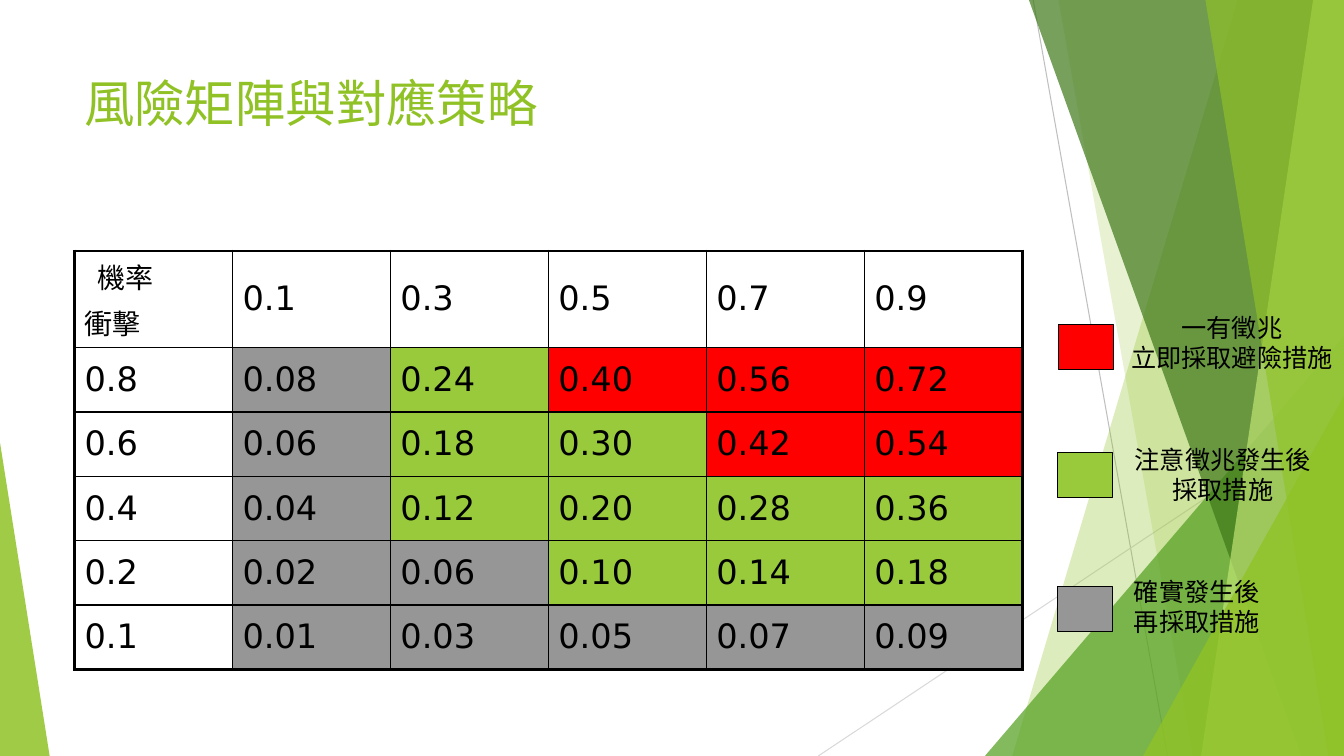
from lxml.etree import SubElement
from pptx import Presentation
from pptx.dml.color import RGBColor
from pptx.enum.shapes import MSO_CONNECTOR, MSO_SHAPE
from pptx.enum.text import MSO_ANCHOR, MSO_AUTO_SIZE, PP_ALIGN
from pptx.oxml.ns import qn
from pptx.util import Pt

COLORS = {
    "leaf": "90C226", "green": "54A021", "forest": "3F7819", "lime": "C0E474",
    "line": "BFBFBF", "pale_line": "D9D9D9", "black": "000000",
    "high": "FF0000", "medium": "99CA3C", "low": "969696",
}
WIDTH, HEIGHT = 960, 540
PROBABILITIES = [1, 3, 5, 7, 9]
IMPACTS = [8, 6, 4, 2, 1]
LEGEND = [
    ("high", 756, 232, 800, 219.5, 160, ["一有徵兆", "立即採取避險措施"]),
    ("medium", 755.5, 323.5, 802, 314, 143, ["注意徵兆發生後", "採取措施"]),
    ("low", 755.5, 419, 802, 408, 106, ["確實發生後", "再採取措施"]),
]


def color(name):
    """Return the named colour."""
    return RGBColor.from_string(COLORS[name])


def paint(shape, name, opacity=100):
    """Fill a shape without outline or shadow."""
    shape.shadow.inherit = False
    shape.line.fill.background()
    shape.fill.solid()
    shape.fill.fore_color.rgb = color(name)
    if opacity < 100:
        tint = shape.fill._xPr.find(qn("a:solidFill"))[0]
        SubElement(tint, qn("a:alpha"), val=str(opacity * 1000))


def add_line(page, start, end, name):
    """Draw a thin background line."""
    line = page.shapes.add_connector(
        MSO_CONNECTOR.STRAIGHT, *[Pt(value) for value in start + end])
    line.line.color.rgb = color(name)
    line.line.width = Pt(0.75)
    SubElement(line._element.spPr, qn("a:effectLst"))


def add_band(page, top_x, bottom_x, name, opacity):
    """Draw a slanted band that reaches the right edge of the page."""
    builder = page.shapes.build_freeform(Pt(top_x), 0)
    corners = [(WIDTH, 0), (WIDTH, HEIGHT), (bottom_x, HEIGHT)]
    builder.add_line_segments([(Pt(x), Pt(y)) for x, y in corners])
    paint(builder.convert_to_shape(), name, opacity)


def add_triangle(page, left, top, width, apex, name, opacity):
    """Draw a right triangle that stands on the bottom edge."""
    triangle = page.shapes.add_shape(
        MSO_SHAPE.ISOSCELES_TRIANGLE, Pt(left), Pt(top), Pt(width), Pt(HEIGHT - top))
    triangle.adjustments[0] = apex
    paint(triangle, name, opacity)


def add_decoration(page):
    """Draw the green facets behind the content."""
    add_line(page, (738, 0), (834, HEIGHT), "line")
    add_line(page, (WIDTH, 290), (584.5, HEIGHT), "pale_line")
    add_band(page, 884, 723, "leaf", 30)
    add_band(page, 756, 852, "leaf", 20)
    add_triangle(page, 703.5, 240, 256.5, 1, "green", 72)
    add_band(page, 735, 929.5, "forest", 70)
    add_band(page, 938, 858, "lime", 70)
    add_band(page, 861, 949, "leaf", 65)
    add_triangle(page, 816.5, 283, 143.5, 1, "leaf", 80)
    add_triangle(page, 0, 316, 35.5, 0, "leaf", 85)


def write(frame, lines, size, font, name, align=PP_ALIGN.LEFT):
    """Write one paragraph per line and return the paragraphs."""
    for index, line in enumerate(lines):
        para = frame.add_paragraph() if index else frame.paragraphs[0]
        para.alignment = align
        span = para.add_run()
        span.text = line
        span.font.size = Pt(size)
        span.font.name = font
        span.font.color.rgb = color(name)
    return frame.paragraphs


def add_title(page, text):
    """Add the slide heading."""
    box = page.shapes.add_textbox(Pt(53), Pt(48), Pt(677), Pt(104))
    box.text_frame.word_wrap = True
    write(box.text_frame, [text], 36, "Roboto", "leaf")


def set_borders(cell, widths):
    """Give a cell black borders of the given widths by side."""
    properties = cell._tc.get_or_add_tcPr()
    for side, width in widths.items():
        border = SubElement(properties, qn(f"a:ln{side}"), w=str(Pt(width)))
        fill = SubElement(border, qn("a:solidFill"))
        SubElement(fill, qn("a:srgbClr"), val=COLORS["black"])


def risk_level(score):
    """Return the risk level of a score in hundredths."""
    if score >= 40:
        return "high"
    return "medium" if score >= 10 else "low"


def fill_cell(cell, row, column):
    """Write and colour one cell of the matrix."""
    cell.vertical_anchor = MSO_ANCHOR.MIDDLE
    cell.fill.background()
    if row and column:
        score = IMPACTS[row - 1] * PROBABILITIES[column - 1]
        text = f"{score / 100:.2f}"
        cell.fill.solid()
        cell.fill.fore_color.rgb = color(risk_level(score))
    elif row or column:
        text = f"0.{IMPACTS[row - 1] if row else PROBABILITIES[column - 1]}"
    else:
        cell.vertical_anchor = MSO_ANCHOR.TOP
        paras = write(cell.text_frame, ["機率", "衝擊"], 20, "DejaVu Sans", "black")
        paras[0]._p.get_or_add_pPr().set("marL", str(Pt(9)))
        paras[1].space_before = Pt(3.5)
        return
    write(cell.text_frame, [text], 24, "DejaVu Sans", "black")


def add_matrix(page):
    """Add the table of probability times impact."""
    rows, columns = len(IMPACTS) + 1, len(PROBABILITIES) + 1
    table = page.shapes.add_table(
        rows, columns, Pt(53.2), Pt(179.3), Pt(677), Pt(299)).table
    table.first_row = table.horz_banding = False
    for column in table.columns:
        column.width = Pt(112.83)
    for index, row in enumerate(table.rows):
        row.height = Pt(46 if index else 69)
    for row in range(rows):
        for column in range(columns):
            cell = table.cell(row, column)
            outer = {"L": column == 0, "R": column == columns - 1,
                     "T": row == 0, "B": row == rows - 1}
            set_borders(cell, {side: 2.25 if edge else 1 for side, edge in outer.items()})
            fill_cell(cell, row, column)


def add_legend_entry(page, level, left, top, text_left, text_top, text_width, lines):
    """Add a colour swatch and its response strategy."""
    swatch = page.shapes.add_shape(
        MSO_SHAPE.RECTANGLE, Pt(left), Pt(top), Pt(39.5), Pt(32))
    paint(swatch, level)
    swatch.line.color.rgb = color("black")
    swatch.line.width = Pt(0.75)
    box = page.shapes.add_textbox(Pt(text_left), Pt(text_top), Pt(text_width), Pt(50.5))
    box.text_frame.word_wrap = False
    box.text_frame.auto_size = MSO_AUTO_SIZE.SHAPE_TO_FIT_TEXT
    write(box.text_frame, lines, 18, "Roboto", "black", PP_ALIGN.CENTER)


def main():
    """Build the risk matrix slide."""
    deck = Presentation()
    deck.slide_width, deck.slide_height = Pt(WIDTH), Pt(HEIGHT)
    page = deck.slides.add_slide(deck.slide_layouts[6])
    add_decoration(page)
    add_title(page, "風險矩陣與對應策略")
    add_matrix(page)
    for entry in LEGEND:
        add_legend_entry(page, *entry)
    deck.save("out.pptx")


if __name__ == "__main__":
    main()
